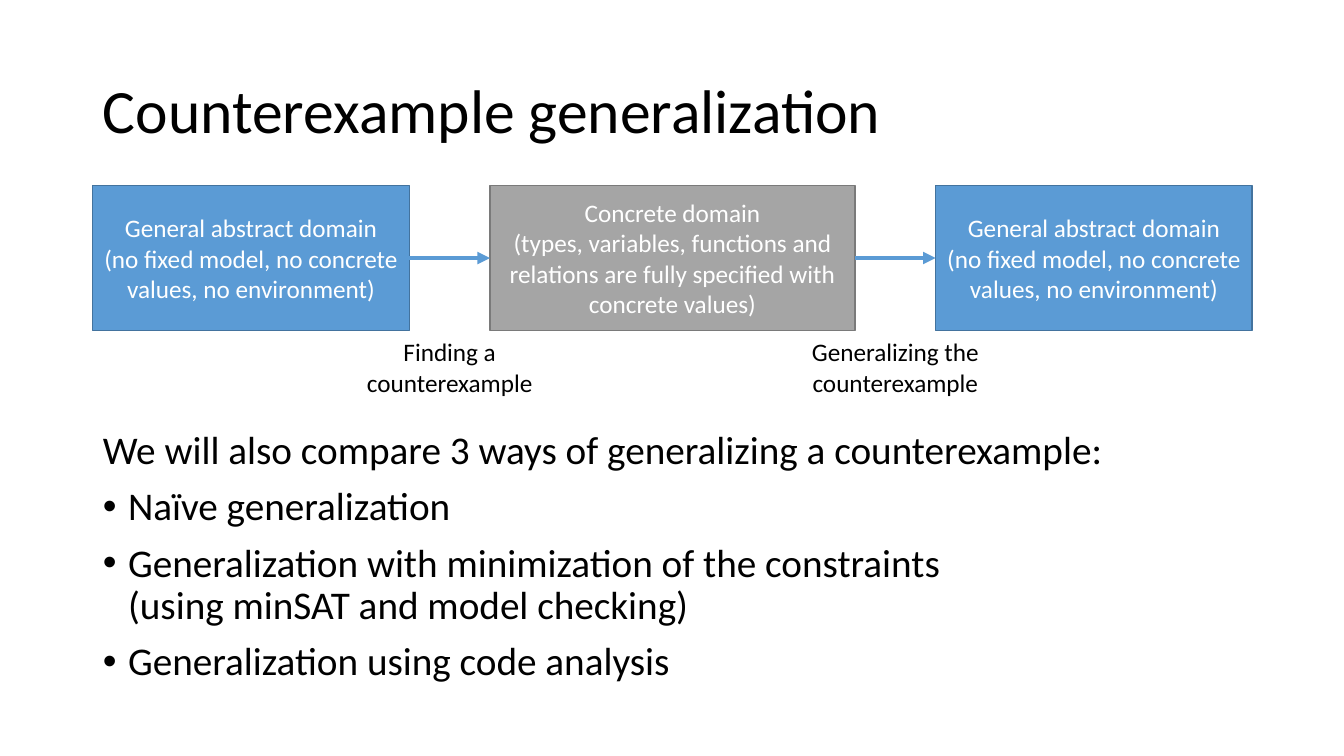
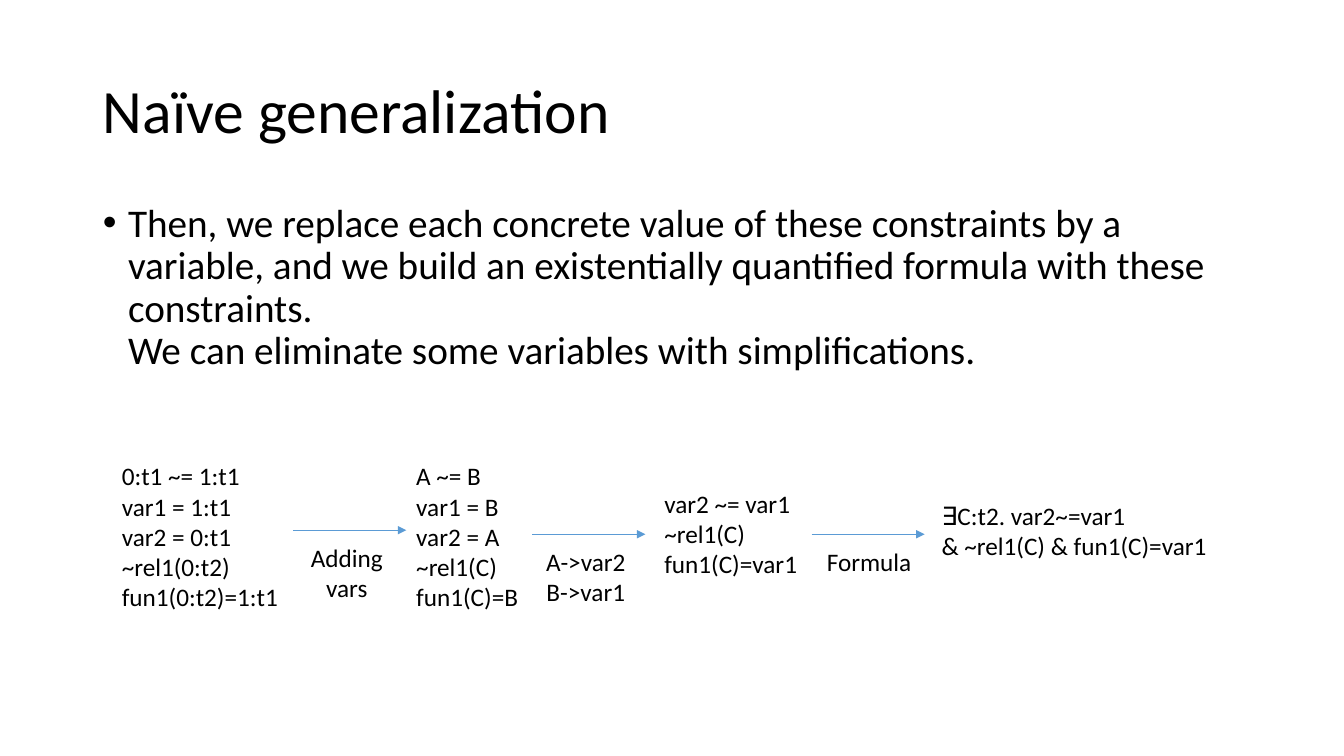
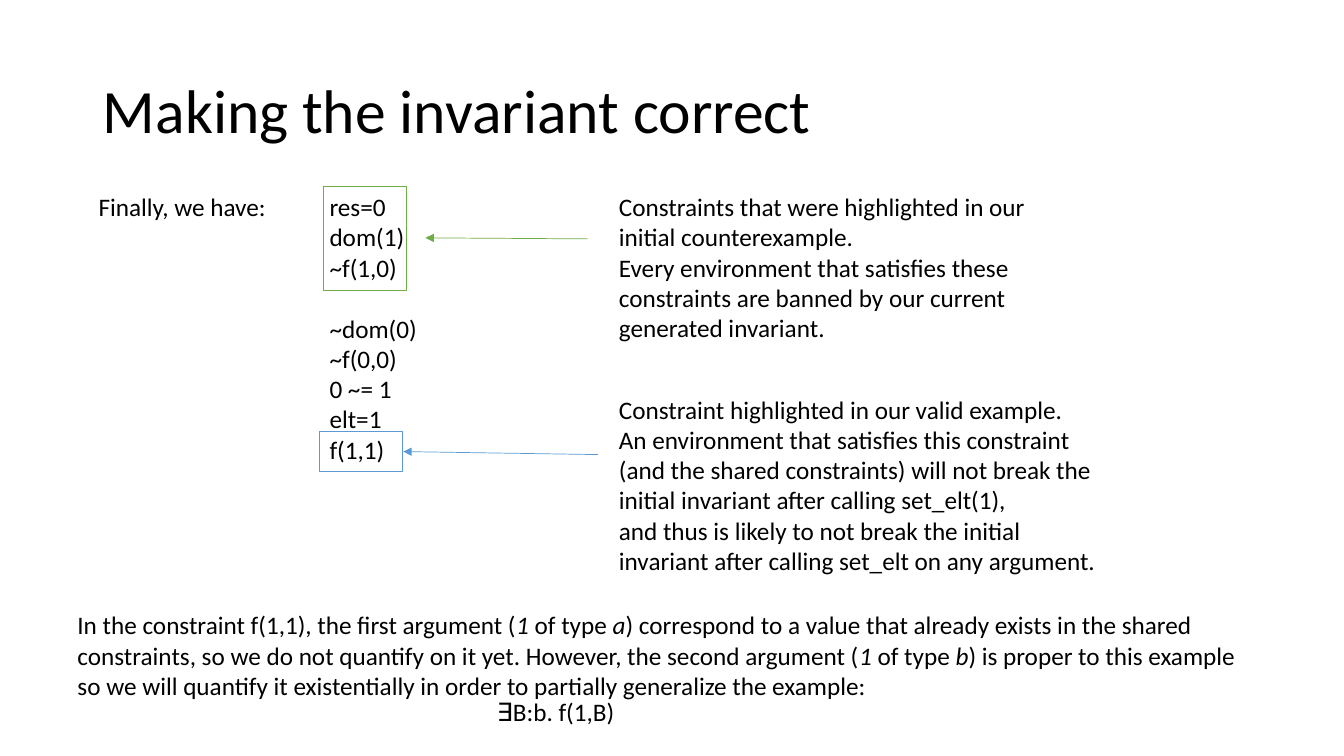
import lxml.etree
import pptx
import pptx.dml.color
import pptx.enum.shapes
import pptx.enum.text
import pptx.oxml
import pptx.oxml.ns
import pptx.util

Inches = pptx.util.Inches
Pt = pptx.util.Pt
qn = pptx.oxml.ns.qn
ALIGN = pptx.enum.text.PP_ALIGN
ANCHOR = pptx.enum.text.MSO_ANCHOR
AUTO_SIZE = pptx.enum.text.MSO_AUTO_SIZE

FONT = "Calibri"
COLORS = {
    "text": "000000",
    "white": "FFFFFF",
    "blue": "5B9BD5",
    "blue_edge": "43739E",
    "gray": "A5A5A5",
    "gray_edge": "7A7A7A",
    "green": "70AD47",
}
MARGIN = 0.92
CONTENT_WIDTH = 11.5
TITLE_BOX = (MARGIN, 0.4, CONTENT_WIDTH, 1.45)


def rgb(name):
    return pptx.dml.color.RGBColor.from_string(COLORS[name])


def place(shape, box):
    shape.left, shape.top, shape.width, shape.height = map(Inches, box)


def write(frame, paragraphs, size=18, color="text", align=ALIGN.LEFT):
    frame.word_wrap = True
    for index, content in enumerate(paragraphs):
        paragraph = frame.paragraphs[0] if index == 0 else frame.add_paragraph()
        paragraph.alignment = align
        runs = [(content, False)] if isinstance(content, str) else content
        for text, italic in runs:
            for number, line in enumerate(text.split("\n")):
                if number:
                    paragraph.add_line_break()
                run = paragraph.add_run()
                run.text = line
                run.font.name = FONT
                run.font.size = Pt(size)
                run.font.italic = italic
                run.font.color.rgb = rgb(color)


def add_text(slide, box, paragraphs, align=ALIGN.LEFT):
    label = slide.shapes.add_textbox(*map(Inches, box))
    write(label.text_frame, paragraphs, align=align)
    label.text_frame.auto_size = AUTO_SIZE.SHAPE_TO_FIT_TEXT
    return label


def add_box(slide, box, edge, fill=None):
    rectangle = slide.shapes.add_shape(
        pptx.enum.shapes.MSO_SHAPE.RECTANGLE, *map(Inches, box))
    rectangle.shadow.inherit = False
    if fill:
        rectangle.fill.solid()
        rectangle.fill.fore_color.rgb = rgb(fill)
    else:
        rectangle.fill.background()
    rectangle.line.color.rgb = rgb(edge)
    rectangle.line.width = Pt(1)
    return rectangle


def add_arrow(slide, start, end, color="blue", width=0.5):
    arrow = slide.shapes.add_connector(
        pptx.enum.shapes.MSO_CONNECTOR.STRAIGHT, *map(Inches, start + end))
    arrow.line.color.rgb = rgb(color)
    arrow.line.width = Pt(width)
    line = arrow.line._get_or_add_ln()
    lxml.etree.SubElement(line, qn("a:tailEnd"), type="triangle")
    lxml.etree.SubElement(arrow._element.spPr, qn("a:effectLst"))
    return arrow


def add_titled_slide(deck, layout, title):
    slide = deck.slides.add_slide(deck.slide_layouts.get_by_name(layout))
    heading = slide.shapes.title
    place(heading, TITLE_BOX)
    write(heading.text_frame, [title], size=44)
    heading.text_frame.vertical_anchor = ANCHOR.MIDDLE
    heading.text_frame.auto_size = AUTO_SIZE.NONE
    heading.text_frame.paragraphs[0].line_spacing = 0.9
    return slide


def fill_body(slide, box, items, intro=None):
    body = slide.placeholders[1]
    place(body, box)
    frame = body.text_frame
    write(frame, ([intro] if intro else []) + items, size=28)
    frame.vertical_anchor = ANCHOR.TOP
    frame.auto_size = AUTO_SIZE.NONE
    for index, paragraph in enumerate(frame.paragraphs):
        paragraph.line_spacing = 0.9
        paragraph.space_before = Pt(10)
        properties = paragraph._p.get_or_add_pPr()
        bulleted = index > 0 or not intro
        indent = Inches(0.25) if bulleted else 0
        properties.set("marL", str(indent))
        properties.set("indent", str(-indent))
        if bulleted:
            lxml.etree.SubElement(properties, qn("a:buFont"), typeface="Arial")
            lxml.etree.SubElement(properties, qn("a:buChar"), char="•")
        else:
            lxml.etree.SubElement(properties, qn("a:buNone"))


def add_domain_flow(slide, box):
    left, top, width, height = box
    gap, abstract_width, caption_width = 0.8, 3.14, 1.91
    concrete_width = width - 2 * (abstract_width + gap)
    abstract = ("General abstract domain\n"
                "(no fixed model, no concrete values, no environment)")
    concrete = ("Concrete domain\n(types, variables, functions and relations "
                "are fully specified with concrete values)")
    domains = [
        (abstract, abstract_width, "blue", "Finding a counterexample"),
        (concrete, concrete_width, "gray", "Generalizing the counterexample"),
        (abstract, abstract_width, "blue", None),
    ]
    previous = None
    for text, domain_width, color, caption in domains:
        domain = add_box(slide, (left, top, domain_width, height),
                         color + "_edge", color)
        write(domain.text_frame, [text], color="white", align=ALIGN.CENTER)
        domain.text_frame.vertical_anchor = ANCHOR.MIDDLE
        if previous:
            middle = top + height / 2
            arrow = add_arrow(slide, (left - gap, middle), (left, middle), width=3)
            arrow.begin_connect(previous, 3)
            arrow.end_connect(domain, 1)
        left += domain_width
        if caption:
            caption_left = left + (gap - caption_width) / 2
            add_text(slide, (caption_left, top + height + 0.01, caption_width, 0.71),
                     [caption], ALIGN.CENTER)
        left += gap
        previous = domain


def add_derivation(slide, box):
    left, top, width, height = box
    formulas = [
        (0, 0, 1.8, 1.62,
         ["0:t1 ~= 1:t1", "var1 = 1:t1\nvar2 = 0:t1\n~rel1(0:t2)\nfun1(0:t2)=1:t1"]),
        (2.92, 0, 1.6, 1.62,
         ["A ~= B", "var1 = B\nvar2 = A\n~rel1(C)\nfun1(C)=B"]),
        (5.38, 0.27, 1.6, 1.01, ["var2 ~= var1", "~rel1(C)\nfun1(C)=var1"]),
        (8.13, 0.39, width - 8.13, 0.71,
         ["∃C:t2. var2~=var1\n& ~rel1(C) & fun1(C)=var1"]),
    ]
    for x, y, formula_width, formula_height, lines in formulas:
        add_text(slide, (left + x, top + y, formula_width, formula_height), lines)
    steps = [
        (1.8, 0.74, 1.02, ["Adding vars"]),
        (4.17, 0.78, 1.02, ["A->var2", "B->var1"]),
        (6.94, 0.78, 1.1, ["Formula"]),
    ]
    for x, y, label_width, lines in steps:
        start = (left + x, top + y)
        add_arrow(slide, start, (start[0] + 1.12, start[1]))
        add_text(slide, (start[0] + 0.02, start[1] + 0.07, label_width, 0.71),
                 lines, ALIGN.CENTER)


def add_constraints(slide, box):
    left, top, width, height = box
    constraints = add_text(slide, box, [
        "res=0", "dom(1)", "~f(1,0)", "~dom(0)", "~f(0,0)", "0 ~= 1",
        "elt=1\nf(1,1)"])
    constraints.text_frame.paragraphs[3].space_before = Pt(22)
    add_box(slide, (left, top + height - 0.4, 0.82, 0.4), "blue")
    add_box(slide, (left + 0.04, top, 0.82, 1.03), "green")


def add_explanations(slide, box):
    left, top, width, height = box
    add_text(slide, (left, top, 4.7, 1.62), [
        "Constraints that were highlighted in our initial counterexample.",
        "Every environment that satisfies these constraints are banned by our "
        "current generated invariant."])
    add_text(slide, (left, top + height - 1.92, width, 1.92), [
        "Constraint highlighted in our valid example.",
        "An environment that satisfies this constraint (and the shared "
        "constraints) will not break the initial invariant after calling "
        "set_elt(1),\nand thus is likely to not break the initial invariant "
        "after calling set_elt on any argument."])
    add_arrow(slide, (left - 0.21, top + 0.52), (left - 1.82, top + 0.51), "green")
    add_arrow(slide, (left - 0.11, top + 2.66), (left - 2.04, top + 2.63))


def add_conclusion(slide, box):
    left, top, width, height = box
    add_text(slide, (left, top, width, 1.01), [[
        ("In the constraint f(1,1), the first argument (", False),
        ("1 ", True),
        ("of type ", False),
        ("a", True),
        (") correspond to a value that already exists in the shared constraints, "
         "so we do not quantify on it yet. However, the second argument (", False),
        ("1", True),
        (" of type ", False),
        ("b", True),
        (") is proper to this example so we will quantify it existentially in "
         "order to partially generalize the example:", False),
    ]])
    add_text(slide, (left + 4.16, top + height - 0.4, 2.61, 0.4), ["∃B:b. f(1,B)"])


def build_generalization(deck):
    slide = add_titled_slide(deck, "Title and Content",
                             "Counterexample generalization")
    fill_body(slide, (MARGIN, 4.22, CONTENT_WIDTH, 2.86), [
        "Naïve generalization",
        "Generalization with minimization of the constraints\n"
        "(using minSAT and model checking)",
        "Generalization using code analysis",
    ], intro="We will also compare 3 ways of generalizing a counterexample:")
    add_domain_flow(slide, (MARGIN, 1.84, CONTENT_WIDTH, 1.44))


def build_naive(deck):
    slide = add_titled_slide(deck, "Title and Content", "Naïve generalization")
    fill_body(slide, (MARGIN, 1.97, CONTENT_WIDTH, 1.83), [
        "Then, we replace each concrete value of these constraints by a variable, "
        "and we build an existentially quantified formula with these constraints.\n"
        "We can eliminate some variables with simplifications."])
    add_derivation(slide, (1.11, 4.52, 11.13, 1.62))


def build_invariant(deck):
    slide = add_titled_slide(deck, "Title Only", "Making the invariant correct")
    add_text(slide, (0.88, 1.85, 2.2, 0.4), ["Finally, we have:"])
    add_constraints(slide, (3.17, 1.85, 1.24, 2.83))
    add_explanations(slide, (6.04, 1.85, 4.96, 3.93))
    add_conclusion(slide, (0.67, 6, 11.74, 1.26))


def main():
    deck = pptx.Presentation()
    deck.slide_width = Inches(13.33)
    deck.slide_height = Inches(7.5)
    for build in (build_generalization, build_naive, build_invariant):
        build(deck)
    deck.save("out.pptx")


if __name__ == "__main__":
    main()
